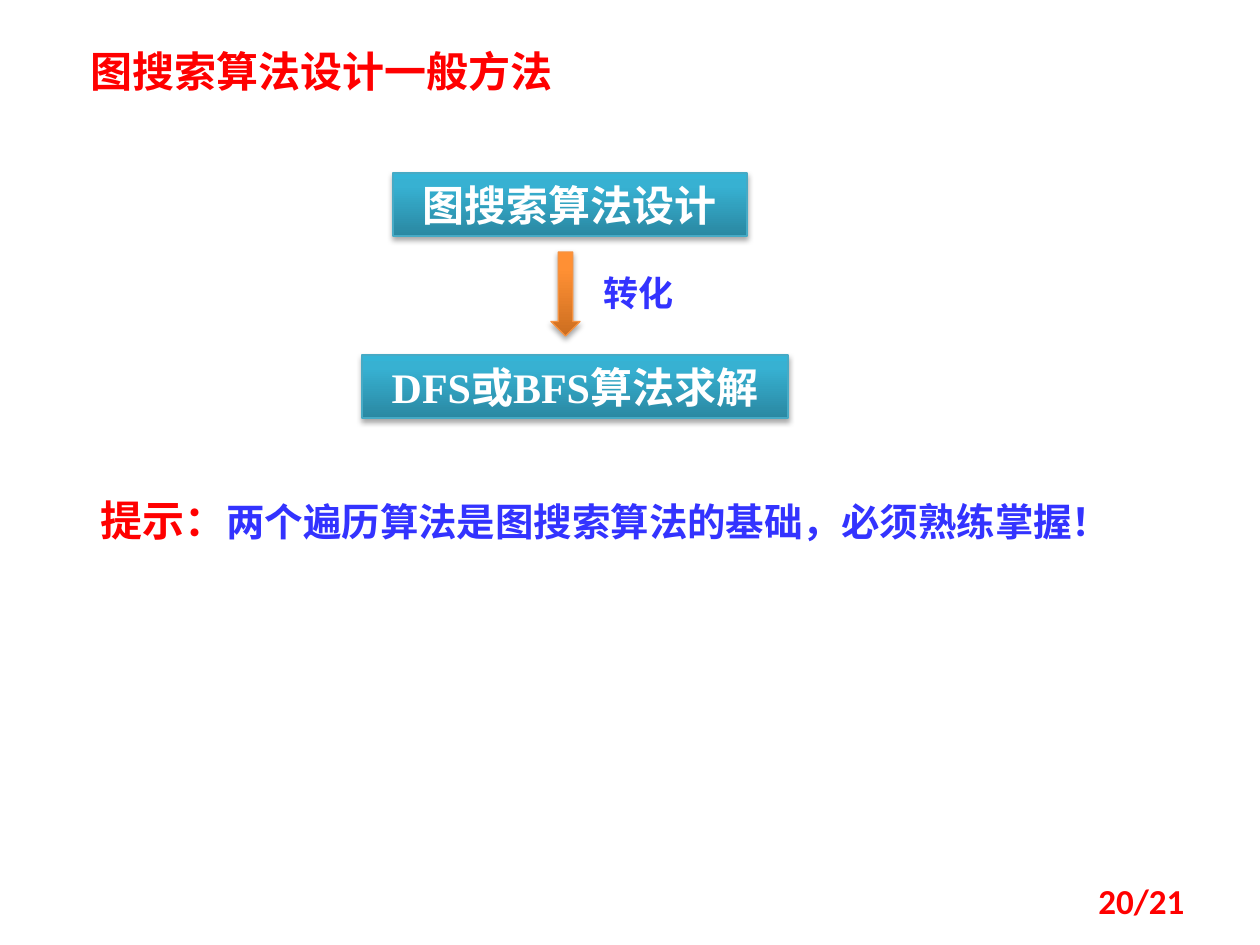
from dataclasses import dataclass

from lxml import etree
from pptx import Presentation, util as u
from pptx.dml.color import RGBColor
from pptx.enum import shapes, text
from pptx.oxml import parse_xml
from pptx.oxml.ns import nsdecls, qn

PX = 914400 / 126


@dataclass(frozen=True)
class Theme:
    red: str = "FF0000"
    blue: str = "3333FF"
    white: str = "FFFFFF"
    teal: tuple = ("2A88A2", "37B1D2", "34B4D6")
    teal_line: str = "46AAC5"
    orange: tuple = ("CC6E20", "FF9034", "FF9136")
    orange_line: str = "F69240"
    cjk: str = "Noto Sans CJK SC"
    sans: str = "Calibri"
    serif: str = "Times New Roman"
    head: int = 24
    body: int = 22
    small: int = 20


T = Theme()


def emu(*lengths):
    return [u.Emu(round(n * PX)) for n in lengths]


def style_run(r, size, color, font):
    r.font.size = u.Pt(size)
    r.font.bold = True
    r.font.name = font
    r.font.color.rgb = RGBColor.from_string(color)
    ea = etree.SubElement(r.font._element, qn("a:ea"))
    ea.set("typeface", T.cjk)


def add_label(s, box, runs, align=text.PP_ALIGN.LEFT, anchor=text.MSO_ANCHOR.TOP):
    tf = s.shapes.add_textbox(*emu(*box)).text_frame
    tf.word_wrap = True
    tf.vertical_anchor = anchor
    p = tf.paragraphs[0]
    p.alignment = align
    for words, size, color, font in runs:
        r = p.add_run()
        r.text = words
        style_run(r, size, color, font)


def add_glossy(s, kind, box, stops, line):
    sp = s.shapes.add_shape(kind, *emu(*box))
    sp.line.color.rgb = RGBColor.from_string(line)
    sp.line.width = u.Pt(0.75)
    gs = "".join(
        f'<a:gs pos="{pos}"><a:srgbClr val="{color}"/></a:gs>'
        for pos, color in zip((0, 80000, 100000), stops)
    )
    fill = parse_xml(
        f'<a:gradFill {nsdecls("a")} rotWithShape="1"><a:gsLst>{gs}</a:gsLst>'
        '<a:lin ang="16200000" scaled="0"/></a:gradFill>'
    )
    shadow = parse_xml(
        f'<a:effectLst {nsdecls("a")}><a:outerShdw blurRad="40000" dist="23000" '
        'dir="5400000" rotWithShape="0"><a:srgbClr val="000000">'
        '<a:alpha val="35000"/></a:srgbClr></a:outerShdw></a:effectLst>'
    )
    spPr = sp._element.spPr
    spPr.find(qn("a:ln")).addprevious(fill)
    spPr.append(shadow)
    return sp


def add_step(s, box, words, font):
    sp = add_glossy(s, shapes.MSO_SHAPE.RECTANGLE, box, T.teal, T.teal_line)
    tf = sp.text_frame
    tf.word_wrap = True
    tf.vertical_anchor = text.MSO_ANCHOR.TOP
    tf.text = words
    p = tf.paragraphs[0]
    p.alignment = text.PP_ALIGN.CENTER
    style_run(p.runs[0], T.head, T.white, font)


def add_flow(s, x, y):
    add_step(s, (x + 31, y, 354, 63), "图搜索算法设计", T.sans)
    add_step(s, (x, y + 182, 426, 63), "DFS或BFS算法求解", T.serif)
    add_glossy(s, shapes.MSO_SHAPE.DOWN_ARROW, (x + 189, y + 79, 29, 84),
               T.orange, T.orange_line)
    add_label(s, (x + 229, y + 92, 118, 55), [("转化", T.small, T.blue, T.cjk)])


def add_title(s, box):
    add_label(s, box, [("图搜索算法设计一般方法", T.head, T.red, T.cjk)])


def add_hint(s, box):
    add_label(s, box, [
        ("提示：", T.head, T.red, T.cjk),
        ("两个遍历算法是图搜索算法的基础，必须熟练掌握！", T.body, T.blue, T.cjk),
    ])


def add_page_number(s, box):
    add_label(s, box, [("20/21", T.small, T.red, T.sans)],
              text.PP_ALIGN.RIGHT, text.MSO_ANCHOR.MIDDLE)


def main():
    prs = Presentation()
    prs.slide_width, prs.slide_height = emu(1260, 945)
    s = prs.slides.add_slide(prs.slide_layouts[6])
    add_hint(s, (88, 488, 1131, 63))
    add_page_number(s, (903, 876, 294, 50))
    add_flow(s, 362, 173)
    add_title(s, (78, 39, 591, 63))
    prs.save("out.pptx")


if __name__ == "__main__":
    main()
